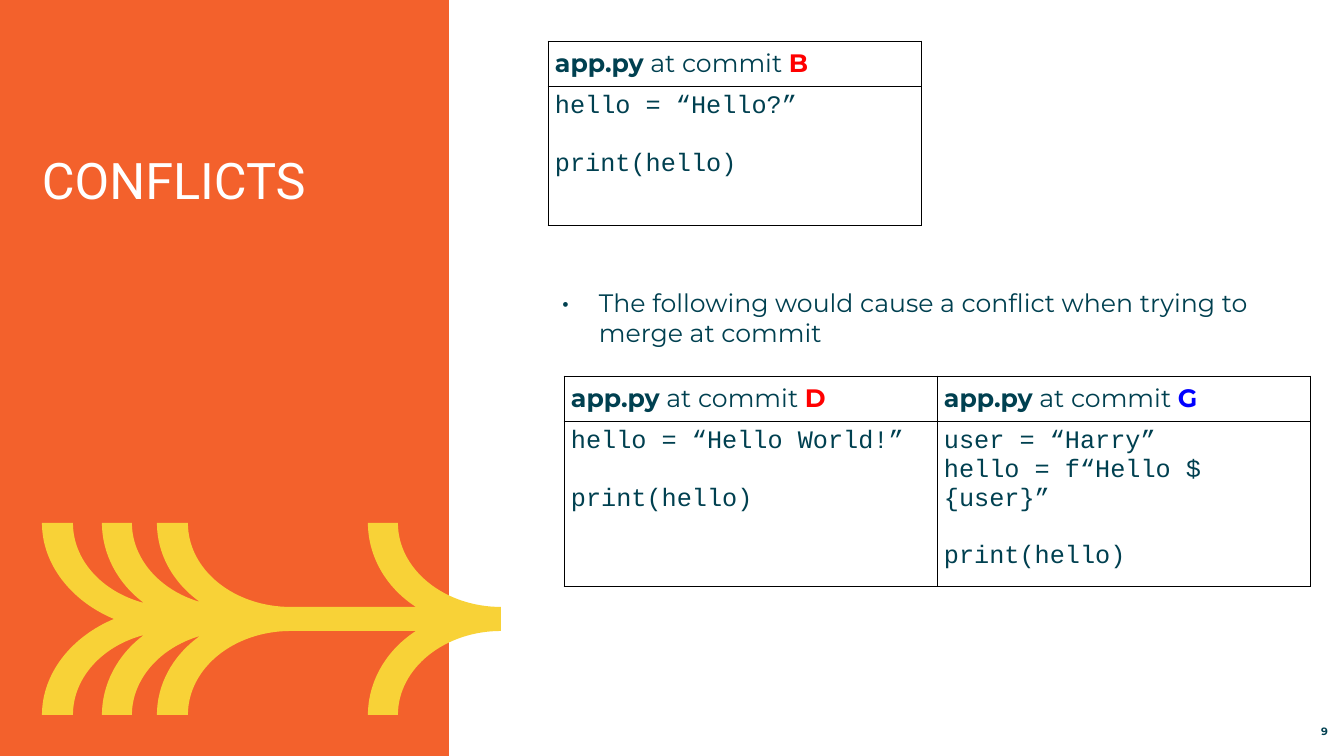
"""Builds the slide on merge conflicts: a title panel with an arrow, and code tables."""
from lxml import etree
from pptx import Presentation, util as u
from pptx.dml.color import RGBColor
from pptx.enum import shapes, text
from pptx.oxml.ns import qn

PX = 914400 / 100.8
INK, RED, BLUE, WHITE = "004050", "FF0000", "0000FF", "FFFFFF"
ORANGE, YELLOW, BLACK = "F3612C", "F8D237", "000000"

TITLE = "CONFLICTS"
POINT = "The following would cause a conflict when trying to merge at commit"
PAGE = "9"
COLUMN, HEADER, INSET = 373, 45, 7
TABLES = [
    {"left": 548, "top": 41, "code_height": 140, "commits": [
        ("B", RED, ["hello = “Hello?”", "\vprint(hello)"])]},
    {"left": 564, "top": 376, "code_height": 156, "commits": [
        ("D", RED, ["hello = “Hello World!”", "\vprint(hello)"]),
        ("G", BLUE, ["user = “Harry”", "hello = f“Hello ${user}”", "\vprint(hello)"])]},
]
AXIS = 619
ARROW_TOP = [
    [(114, AXIS)], [(71, 601), (42, 564), (42, 523)], [(73, 523)],
    [(73, 560), (102, 592), (144, 603)], [(117, 583), (102, 553), (102, 523)], [(132, 523)],
    [(132, 558), (159, 590), (200, 602)], [(172, 582), (157, 553), (157, 523)], [(188, 523)],
    [(188, 570), (234, 607), (291, 607)], [(416, 607)],
    [(385, 587), (368, 555), (368, 523)], [(398, 523)],
    [(398, 570), (445, 607), (501, 607)],
]


def px(*lengths):
    return [round(length * PX) for length in lengths]


def rgb(value):
    return RGBColor.from_string(value)


def set_font(font, name, size, color, bold=False):
    font.name, font.size, font.bold = name, u.Pt(size), bold
    font.color.rgb = rgb(color)


def paint(shape, color):
    shape.shadow.inherit = False
    shape.fill.solid()
    shape.fill.fore_color.rgb = rgb(color)
    shape.line.fill.background()


def set_insets(frame, inset):
    frame.margin_left = frame.margin_top = frame.margin_right = frame.margin_bottom = px(inset)[0]


def add_text(slide, box, words, name, size, color, bold=False):
    frame = slide.shapes.add_textbox(*px(*box)).text_frame
    frame.word_wrap = True
    set_insets(frame, 0)
    paragraph = frame.paragraphs[0]
    paragraph.text = words
    set_font(paragraph.font, name, size, color, bold)
    return frame


def add_bullet(paragraph):
    props = paragraph._p.get_or_add_pPr()
    margin, indent = px(44, -38)
    props.set("marL", str(margin))
    props.set("indent", str(indent))
    marks = [("buSzPct", {"val": "125000"}), ("buFont", {"typeface": "Montserrat"}),
             ("buChar", {"char": "•"})]
    for place, (tag, values) in enumerate(marks):
        props.insert(place, etree.Element(qn(f"a:{tag}"), values))


def bend(shape, lengths):
    lines = list(shape._element.iter(qn("a:lnTo")))
    for length in lengths:
        step, lines = lines[:length], lines[length:]
        if length == 3:
            curve = etree.Element(qn("a:cubicBezTo"))
            step[0].addprevious(curve)
            for line in step:
                curve.append(line[0])
                line.getparent().remove(line)


def add_arrow(slide):
    upper = [point for segment in ARROW_TOP for point in segment]
    lower = [(x, 2 * AXIS - y) for x, y in reversed(upper)]
    outline = [px(*point) for point in upper + lower]
    lengths = [len(segment) for segment in ARROW_TOP[1:]]
    builder = slide.shapes.build_freeform(*outline[0], scale=1.0)
    builder.add_line_segments(outline[1:], close=True)
    arrow = builder.convert_to_shape()
    bend(arrow, lengths + [1] + lengths[::-1])
    paint(arrow, YELLOW)


def style_cell(cell):
    set_insets(cell, INSET)
    cell.fill.background()
    props = cell._tc.get_or_add_tcPr()
    for place, side in enumerate(("lnL", "lnR", "lnT", "lnB")):
        line = etree.Element(qn(f"a:{side}"), w="9525")
        fill = etree.SubElement(line, qn("a:solidFill"))
        etree.SubElement(fill, qn("a:srgbClr"), val=BLACK)
        props.insert(place, line)


def fill_header(cell, commit, color):
    paragraph = cell.text_frame.paragraphs[0]
    for words, ink, bold in (("app.py", INK, True), (" at commit ", INK, False),
                             (commit, color, True)):
        run = paragraph.add_run()
        run.text = words
        set_font(run.font, "Montserrat", 18, ink, bold)


def fill_code(cell, lines):
    frame = cell.text_frame
    for row, line in enumerate(lines):
        paragraph = frame.add_paragraph() if row else frame.paragraphs[0]
        paragraph.text = line
        set_font(paragraph.font, "Courier New", 18, INK)


def add_code_table(slide, left, top, code_height, commits):
    box = px(left, top, COLUMN * len(commits), HEADER + code_height)
    table = slide.shapes.add_table(2, len(commits), *box).table
    table.first_row = table.horz_banding = False
    for row, height in zip(table.rows, px(HEADER, code_height)):
        row.height = height
    for column, (commit, color, lines) in enumerate(commits):
        table.columns[column].width = px(COLUMN)[0]
        header, code = table.cell(0, column), table.cell(1, column)
        style_cell(header)
        style_cell(code)
        fill_header(header, commit, color)
        fill_code(code, lines)


def main():
    deck = Presentation()
    deck.slide_width, deck.slide_height = px(1344, 756)
    slide = deck.slides.add_slide(deck.slide_layouts[6])
    panel = slide.shapes.add_shape(shapes.MSO_SHAPE.RECTANGLE, *px(0, 0, 449, 756))
    paint(panel, ORANGE)
    add_arrow(slide)
    point = add_text(slide, (555, 287, 746, 426), POINT, "Montserrat", 18, INK)
    add_bullet(point.paragraphs[0])
    page = add_text(slide, (1241, 718, 87, 20), PAGE, "Montserrat", 7.6, INK, True)
    page.vertical_anchor = text.MSO_ANCHOR.BOTTOM
    page.paragraphs[0].alignment = text.PP_ALIGN.RIGHT
    add_text(slide, (42, 149, 380, 303), TITLE, "Roboto", 36, WHITE)
    for table in TABLES:
        add_code_table(slide, **table)
    deck.save("out.pptx")


if __name__ == "__main__":
    main()
